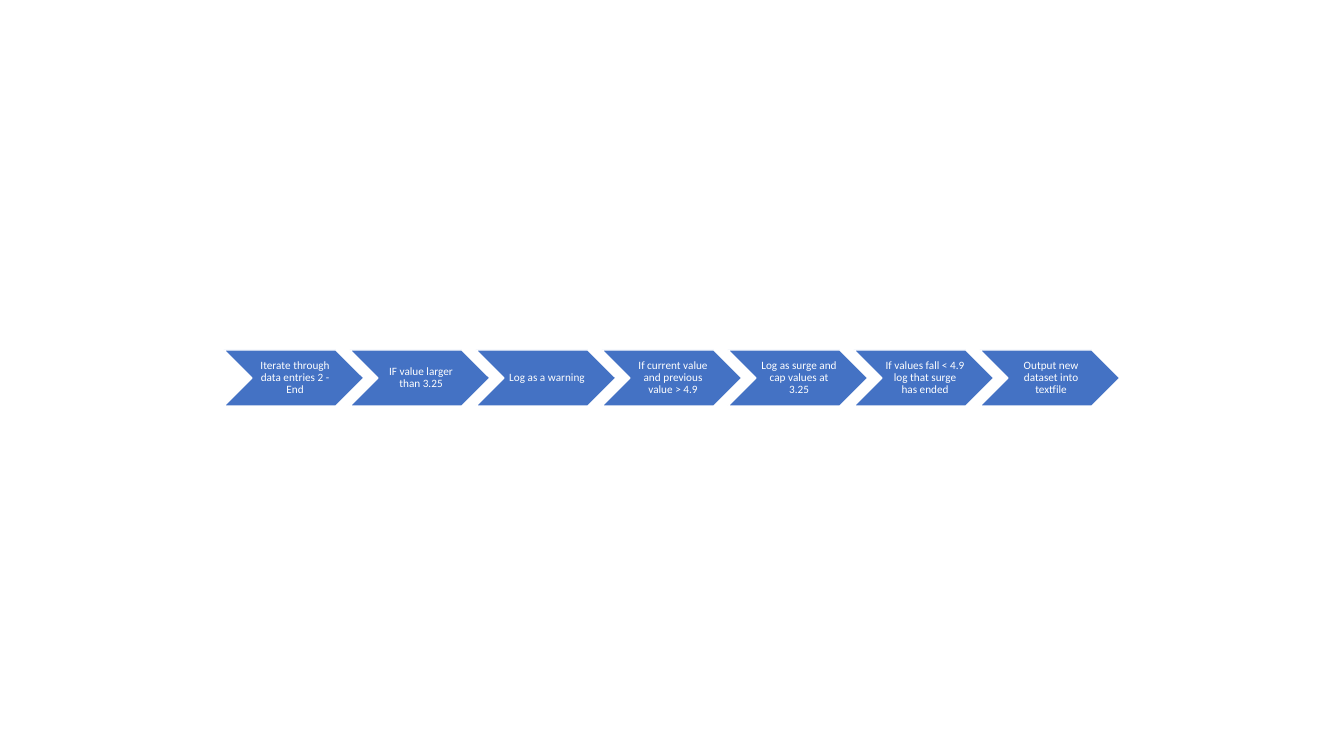
from pptx import Presentation
from pptx.dml.color import RGBColor
from pptx.enum.shapes import MSO_SHAPE
from pptx.enum.text import MSO_ANCHOR, PP_ALIGN
from pptx.util import Pt


def color(code):
    """Turn a hex string into a colour."""
    return RGBColor.from_string(code)


class Deck:
    """Hold the style and the current slide."""

    font, size = "Calibri", 8
    blue, white = "4472C4", "FFFFFF"

    def __init__(self, slide):
        """Keep the slide to draw on."""
        self.slide = slide

    def step(self, text, left, top, width, height):
        """Add a chevron that carries its text."""
        shape = self.slide.shapes.add_shape(
            MSO_SHAPE.CHEVRON, Pt(left), Pt(top), Pt(width), Pt(height))
        shape.shadow.inherit = False
        shape.fill.solid()
        shape.fill.fore_color.rgb = color(self.blue)
        shape.line.color.rgb = color(self.white)
        shape.line.width = Pt(1)
        frame = shape.text_frame
        frame.text = text
        frame.word_wrap = True
        frame.vertical_anchor = MSO_ANCHOR.MIDDLE
        frame.margin_left = Pt(2.52)
        frame.margin_right = frame.margin_top = frame.margin_bottom = Pt(0.84)
        para = frame.paragraphs[0]
        para.alignment = PP_ALIGN.CENTER
        para.line_spacing = 0.9
        font = para.runs[0].font
        font.name, font.size = self.font, Pt(self.size)
        font.color.rgb = color(self.white)


STEPS = [
    "Iterate through data entries 2 - End",
    "IF value larger than 3.25",
    "Log as a warning",
    "If current value and previous value > 4.9",
    "Log as surge and cap values at 3.25",
    "If values fall < 4.9 log that surge has ended",
    "Output new dataset into textfile",
]
LEFT, TOP, WIDTH, HEIGHT, PITCH = 160, 250, 100, 40, 90

show = Presentation()
show.slide_width, show.slide_height = Pt(960), Pt(540)
deck = Deck(show.slides.add_slide(show.slide_layouts[6]))
for i, text in enumerate(STEPS):
    deck.step(text, LEFT + i * PITCH, TOP, WIDTH, HEIGHT)
show.save("out.pptx")
